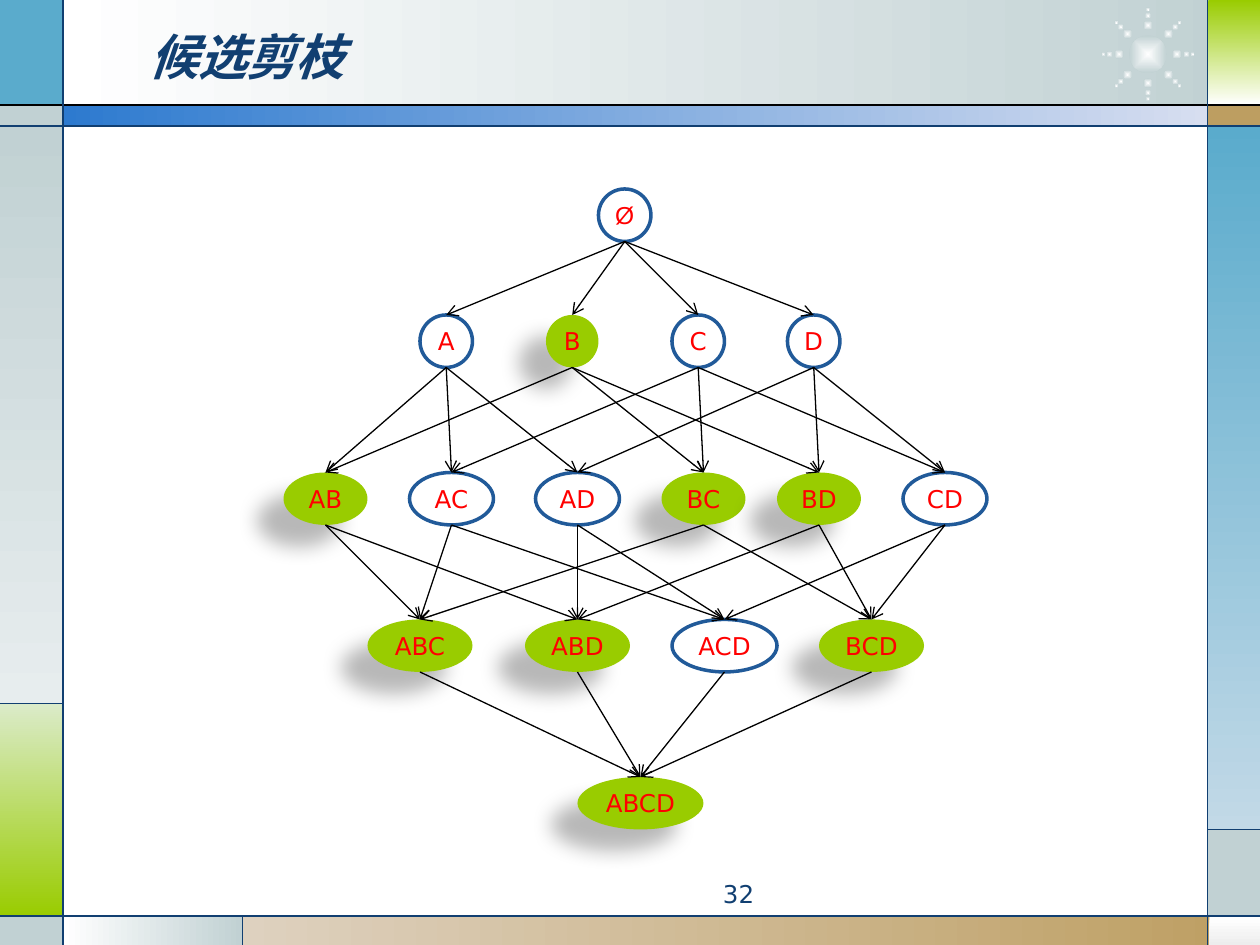
from math import cos, radians, sin

from lxml.etree import SubElement
from pptx import Presentation
from pptx.dml.color import RGBColor
from pptx.enum.shapes import MSO_CONNECTOR, MSO_SHAPE
from pptx.enum.text import MSO_ANCHOR, PP_ALIGN
from pptx.oxml.ns import qn
from pptx.util import Pt

WHITE = RGBColor(0xFF, 0xFF, 0xFF)
BLACK = RGBColor(0x00, 0x00, 0x00)
NAVY = RGBColor(0x11, 0x3F, 0x71)
OUTLINE = RGBColor(0x21, 0x5A, 0x99)
RED = RGBColor(0xFF, 0x00, 0x00)
GREEN = RGBColor(0x99, 0xCC, 0x00)
PALE_GREEN = RGBColor(0xDB, 0xEB, 0xC9)
TEAL = RGBColor(0x5A, 0xAB, 0xCC)
PALE_TEAL = RGBColor(0xC2, 0xD9, 0xE7)
GREY = RGBColor(0xC1, 0xD1, 0xD3)
PALE_GREY = RGBColor(0xE7, 0xED, 0xEE)
LIGHT = RGBColor(0xED, 0xED, 0xED)
TAN = RGBColor(0xBD, 0x9E, 0x61)
PALE_TAN = RGBColor(0xDE, 0xD1, 0xBF)
BLUE = RGBColor(0x2D, 0x7A, 0xCF)
PALE_BLUE = RGBColor(0xD7, 0xDE, 0xF0)

presentation = Presentation()
presentation.slide_width, presentation.slide_height = Pt(720), Pt(540)
slide = presentation.slides.add_slide(presentation.slide_layouts[5])
shapes = slide.shapes


def add_block(kind, box, start=None, end=None, angle=0):
    """Add a lineless shape: unfilled, solid, or a gradient when end is given."""
    shape = shapes.add_shape(kind, *(Pt(value) for value in box))
    shape.shadow.inherit = False
    shape.line.fill.background()
    if start is None:
        shape.fill.background()
    elif end is None:
        shape.fill.solid()
        shape.fill.fore_color.rgb = start
    else:
        shape.fill.gradient()
        shape.fill.gradient_angle = angle
        for stop, color in zip(shape.fill.gradient_stops, (start, end)):
            stop.color.rgb = color
    return shape


def add_line(x1, y1, x2, y2, color, arrow=False):
    line = shapes.add_connector(
        MSO_CONNECTOR.STRAIGHT, Pt(x1), Pt(y1), Pt(x2), Pt(y2))
    line.line.color.rgb = color
    line.line.width = Pt(0.75)
    properties = line._element.spPr
    if arrow:
        SubElement(properties.find(qn("a:ln")), qn("a:tailEnd"), type="arrow")
    SubElement(properties, qn("a:effectLst"))


# Frame: box, start colour, end colour, angle (270 runs downwards)
bands = [
    ((36, 0, 667.5, 60.5), WHITE, GREY, 0),
    ((0, 0, 36, 60.5), TEAL, None, 0),
    ((0, 60, 36, 12), GREY, None, 0),
    ((0, 72, 36, 330), GREY, PALE_GREY, 270),
    ((0, 402, 36, 122), PALE_GREEN, GREEN, 270),
    ((0, 524, 36, 16), GREY, None, 0),
    ((36, 523.5, 102.5, 16.5), WHITE, GREY, 0),
    ((138.5, 523.5, 581.5, 16.5), PALE_TAN, TAN, 0),
    ((691, 524, 29, 16), WHITE, LIGHT, 270),
    ((690, 474, 30, 50), GREY, None, 0),
    ((690, 72, 30, 402), TEAL, PALE_TEAL, 270),
    ((690, 60, 30, 12), TAN, None, 0),
    ((690.5, 0, 29.5, 60), GREEN, WHITE, 270),
    ((36, 60, 654.5, 12), BLUE, PALE_BLUE, 0),
]
for box, start, end, angle in bands:
    add_block(MSO_SHAPE.RECTANGLE, box, start, end, angle)

# Star ornament: a centre and eight arms of three shrinking dots
star_x, star_y = 656, 31
dots = [(star_x, star_y, 21.6)]
for turn in range(0, 360, 45):
    for radius, size in ((16.5, 5.4), (22, 3.6), (25.5, 2.5)):
        dots.append((star_x + radius * cos(radians(turn)),
                     star_y + radius * sin(radians(turn)), size))
for x, y, size in dots:
    dot = add_block(MSO_SHAPE.OVAL, (x - size / 2, y - size / 2, size, size),
                    WHITE, GREY)
    gradient = dot._element.spPr.find(qn("a:gradFill"))
    gradient.remove(gradient.find(qn("a:lin")))
    radial = SubElement(gradient, qn("a:path"), path="shape")
    SubElement(radial, qn("a:fillToRect"),
               l="50000", t="50000", r="50000", b="50000")

rules = [
    (0, 60, 720, 60, BLACK),
    (0, 72, 720, 72, NAVY),
    (0, 523.5, 720, 523.5, NAVY),
    (36, 0, 36, 540, NAVY),
    (690, 0, 690, 540, NAVY),
    (36, 402, 0, 402, NAVY),
    (138.5, 523.5, 138.5, 540, NAVY),
    (690, 474, 720, 474, NAVY),
]
for rule in rules:
    add_line(*rule)

# Title, brought in front of the frame, and page number
title = shapes.title
shapes._spTree.append(title._element)
title.left, title.top, title.width, title.height = Pt(78), Pt(9.5), Pt(528), Pt(44.5)
page_number = shapes.add_textbox(Pt(270), Pt(499), Pt(168), Pt(19.5))
texts = [
    (title, "候选剪枝", PP_ALIGN.LEFT, MSO_ANCHOR.MIDDLE,
     {"size": Pt(28), "name": "DejaVu Sans", "bold": True, "italic": True}),
    (page_number, "32", PP_ALIGN.RIGHT, MSO_ANCHOR.TOP,
     {"size": Pt(14), "name": "DejaVu Sans"}),
]
for shape, text, alignment, anchor, font_format in texts:
    frame = shape.text_frame
    frame.word_wrap = True
    frame.vertical_anchor = anchor
    paragraph = frame.paragraphs[0]
    paragraph.alignment = alignment
    run = paragraph.add_run()
    run.text = text
    run.font.color.rgb = NAVY
    for name, value in font_format.items():
        setattr(run.font, name, value)

# Itemset lattice: top, node width, left of each node
NODE_HEIGHT = 30
levels = [
    (108, 30, {"Ø": 342}),
    (180, 30, {"A": 240, "B": 312, "C": 384, "D": 450}),
    (270, 48, {"AB": 162, "AC": 234, "AD": 306, "BC": 378, "BD": 444, "CD": 516}),
    (354, 60, {"ABC": 210, "ABD": 300, "ACD": 384, "BCD": 468}),
    (444, 72, {"ABCD": 330}),
]
for top, width, nodes in levels:
    for itemset, left in nodes.items():
        pruned = "B" in itemset
        node = add_block(MSO_SHAPE.OVAL, (left, top, width, NODE_HEIGHT),
                         GREEN if pruned else None)
        if pruned:
            effects = node._element.spPr.find(qn("a:effectLst"))
            shadow = SubElement(
                effects, qn("a:outerShdw"), blurRad=str(Pt(11.8)),
                dist=str(Pt(19.7)), dir=str(141 * 60000), rotWithShape="0")
            color = SubElement(shadow, qn("a:srgbClr"), val=str(BLACK))
            SubElement(color, qn("a:alpha"), val="28000")
        else:
            node.line.color.rgb = OUTLINE
            node.line.width = Pt(2)
        frame = node.text_frame
        frame_format = {"margin_left": Pt(3), "margin_right": Pt(3),
                        "word_wrap": False, "vertical_anchor": MSO_ANCHOR.MIDDLE}
        for name, value in frame_format.items():
            setattr(frame, name, value)
        paragraph = frame.paragraphs[0]
        paragraph.alignment = PP_ALIGN.CENTER
        run = paragraph.add_run()
        run.text = itemset
        run.font.size = Pt(14)
        run.font.name = "Arial" if itemset == "Ø" else "DejaVu Sans"
        run.font.color.rgb = RED

# An arrow leads from every itemset to each superset one level down
for upper, lower in zip(levels, levels[1:]):
    upper_top, upper_width, parents = upper
    lower_top, lower_width, children = lower
    for parent, parent_left in parents.items():
        for child, child_left in children.items():
            if set(parent.strip("Ø")) <= set(child):
                add_line(parent_left + upper_width / 2, upper_top + NODE_HEIGHT,
                         child_left + lower_width / 2, lower_top, BLACK, arrow=True)

presentation.save("out.pptx")
